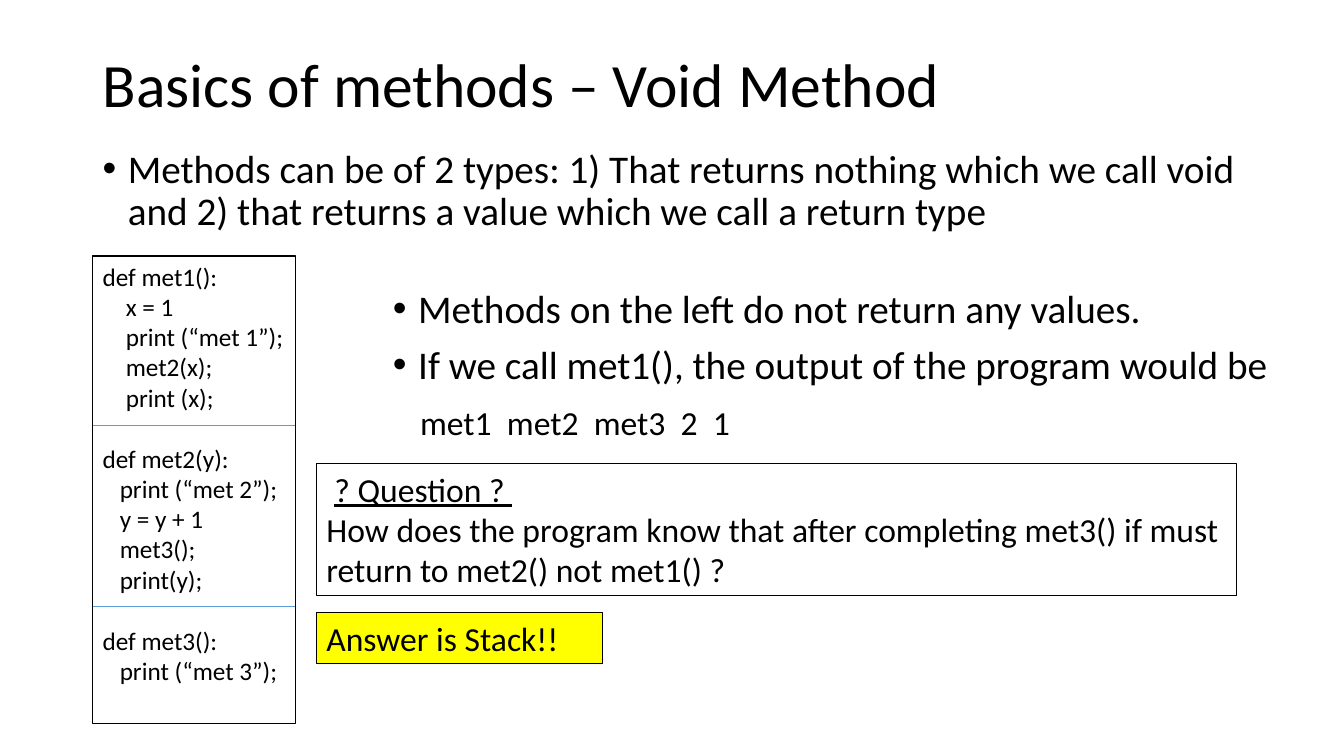
from pptx import Presentation
from pptx import util as u
from pptx.dml.color import RGBColor
from pptx.enum import shapes, text
from pptx.oxml.ns import qn
from lxml import etree

BLACK = RGBColor(0x00, 0x00, 0x00)
YELLOW = RGBColor(0xFF, 0xFF, 0x00)
BLUE = RGBColor(0x5B, 0x9B, 0xD5)

WIDTH, HEIGHT = u.Inches(13.33), u.Inches(7.5)
COL, ROW = WIDTH / 100, HEIGHT / 100  # the grid has 100 columns and 100 rows

LEFT, CODE_WIDTH = 6.9, 15.08
QUESTION_LEFT = 23.55
FIRST_DIVIDER, DIVIDER_STEP = 56.27, 24

METHODS = [
    ("def met1():", 0.23, ["x = 1", "print (“met 1”);", "met2(x);", "print (x);"]),
    ("def met2(y):", 0.17, ["print (“met 2”);", "y = y + 1", "met3();", "print(y);"]),
    ("def met3():", 0.17, ["print (“met 3”);"]),
]


def grid(*cells):
    """Turn column, row, column, row, ... into lengths."""
    return [round(cell * (ROW if i % 2 else COL)) for i, cell in enumerate(cells)]


def write(frame, line, size=24, indent=0, bullet=False, before=0, spacing=None,
          underline=False):
    """Add one paragraph; the first call fills the empty one."""
    first = frame.paragraphs[0]
    paragraph = frame.add_paragraph() if first.runs else first
    paragraph.alignment = text.PP_ALIGN.LEFT
    paragraph.space_before = u.Pt(before)
    if spacing:
        paragraph.line_spacing = spacing
    properties = paragraph._p.get_or_add_pPr()
    properties.set("marL", str(u.Inches(indent)))
    if bullet:
        properties.set("indent", str(-u.Inches(indent)))
        etree.SubElement(properties, qn("a:buFont"), typeface="Arial")
        etree.SubElement(properties, qn("a:buChar"), char="•")
    run = paragraph.add_run()
    run.text = line
    run.font.name = "Calibri"
    run.font.size = u.Pt(size)
    run.font.color.rgb = BLACK
    run.font.underline = underline


def write_bullets(frame, lines):
    for line in lines:
        write(frame, line, size=28, indent=0.25, bullet=True, before=10, spacing=0.9)


def add_text_area(slide, *cells, anchor=text.MSO_ANCHOR.TOP):
    frame = slide.shapes.add_textbox(*grid(*cells)).text_frame
    frame.word_wrap = True
    frame.vertical_anchor = anchor
    return frame


def add_outlined_box(slide, *cells, fill=None):
    box = slide.shapes.add_shape(shapes.MSO_SHAPE.RECTANGLE, *grid(*cells))
    box.shadow.inherit = False
    if fill is None:
        box.fill.background()
    else:
        box.fill.solid()
        box.fill.fore_color.rgb = fill
    box.line.color.rgb = BLACK
    box.line.width = u.Pt(0.75)
    frame = box.text_frame
    frame.word_wrap = True
    frame.vertical_anchor = text.MSO_ANCHOR.TOP
    return frame


def add_divider(slide, row):
    ends = grid(LEFT, row, LEFT + CODE_WIDTH, row)
    divider = slide.shapes.add_connector(shapes.MSO_CONNECTOR.STRAIGHT, *ends)
    divider.line.color.rgb = BLUE
    divider.line.width = u.Pt(0.5)
    etree.SubElement(divider._element.spPr, qn("a:effectLst"))


def add_code(slide):
    code = add_outlined_box(slide, LEFT, 33.87, CODE_WIDTH, 61.87)
    code.margin_right = 0
    for number, (header, indent, body) in enumerate(METHODS):
        write(code, header, size=18, before=22 if number else 0)
        for statement in body:
            write(code, statement, size=18, indent=indent)
    for number in range(len(METHODS) - 1):
        add_divider(slide, FIRST_DIVIDER + number * DIVIDER_STEP)


def main():
    deck = Presentation()
    deck.slide_width, deck.slide_height = WIDTH, HEIGHT
    slide = deck.slides.add_slide(deck.slide_layouts[6])

    title = add_text_area(slide, LEFT, 5.33, 86.25, 12.53,
                          anchor=text.MSO_ANCHOR.MIDDLE)
    write(title, "Basics of methods – Void Method", size=44, spacing=0.9)
    write_bullets(add_text_area(slide, LEFT, 19.07, 86.25, 13.2), [
        "Methods can be of 2 types: 1) That returns nothing which we call void "
        "and 2) that returns a value which we call a return type",
    ])

    add_code(slide)

    write_bullets(add_text_area(slide, 28.5, 37.6, 70.13, 19.07), [
        "Methods on the left do not return any values.",
        "If we call met1(), the output of the program would be",
    ])
    output = add_text_area(slide, 29.92, 52.53, 25.28, 6.67)
    write(output, "met1  met2  met3  2  1", indent=0.08)

    question = add_outlined_box(slide, QUESTION_LEFT, 61.33, 68.48, 17.47)
    write(question, "? Question ? ", indent=0.08, underline=True)
    write(question, "How does the program know that after completing met3() if must")
    write(question, "return to met2() not met1() ?")

    answer = add_outlined_box(slide, QUESTION_LEFT, 81.07, 21.3, 6.67, fill=YELLOW)
    write(answer, "Answer is Stack!!")

    deck.save("out.pptx")


if __name__ == "__main__":
    main()
